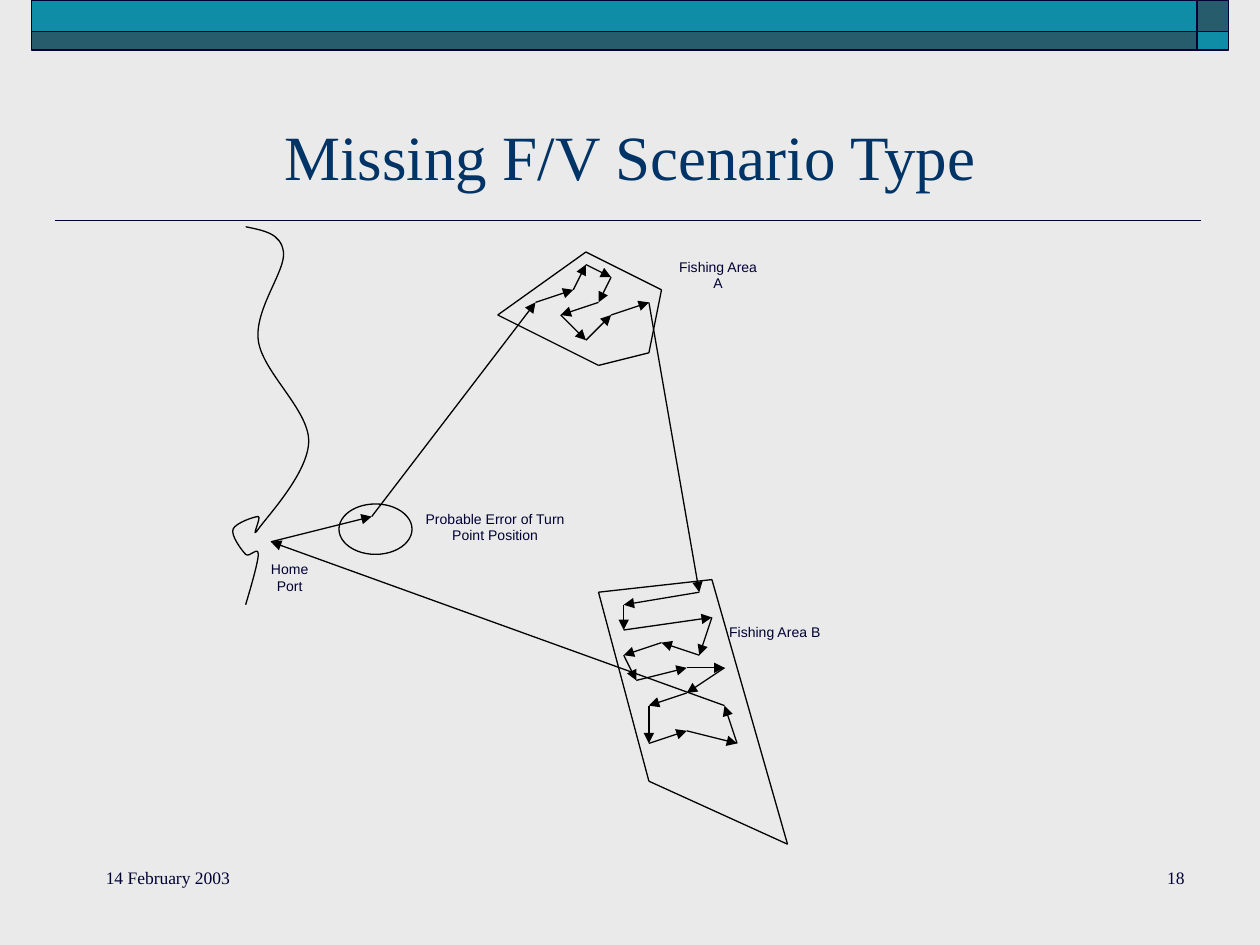
from dataclasses import dataclass
from itertools import pairwise

from lxml.etree import SubElement
from pptx import Presentation
from pptx.dml.color import RGBColor
from pptx.enum.shapes import MSO_CONNECTOR, MSO_SHAPE
from pptx.enum.text import MSO_ANCHOR, PP_ALIGN
from pptx.oxml.ns import qn
from pptx.util import Inches, Pt


@dataclass(frozen=True)
class Theme:
    background: RGBColor = RGBColor(0xEA, 0xEA, 0xEA)
    teal: RGBColor = RGBColor(0x10, 0x8D, 0xA6)
    slate: RGBColor = RGBColor(0x27, 0x5C, 0x6D)
    ink: RGBColor = RGBColor(0x00, 0x00, 0x33)
    title: RGBColor = RGBColor(0x00, 0x33, 0x66)
    track: RGBColor = RGBColor(0x00, 0x00, 0x00)
    serif: str = "Times New Roman"
    sans: str = "Arial"
    title_size: int = 36
    footer_size: int = 10
    label_size: int = 8
    frame_width: float = 1
    track_width: float = 0.75


class SlideBuilder:
    """Draws styled elements on one slide; all positions are in inches."""

    def __init__(self, slide, theme):
        self.slide = slide
        self.theme = theme
        slide.background.fill.solid()
        slide.background.fill.fore_color.rgb = theme.background

    def style_line(self, line, color, width):
        line.color.rgb = color
        line.width = Pt(width)

    def style_text(self, text_frame, text, font_name, size, color, align):
        text_frame.text = text
        text_frame.word_wrap = True
        paragraph = text_frame.paragraphs[0]
        paragraph.alignment = align
        font = paragraph.runs[0].font
        font.name = font_name
        font.size = Pt(size)
        font.color.rgb = color

    def title(self, text, left, top, width, height):
        shape = self.slide.shapes.title
        shape.left, shape.top = Inches(left), Inches(top)
        shape.width, shape.height = Inches(width), Inches(height)
        shape.text_frame.vertical_anchor = MSO_ANCHOR.BOTTOM
        theme = self.theme
        self.style_text(shape.text_frame, text, theme.serif, theme.title_size,
                        theme.title, PP_ALIGN.CENTER)

    def text_box(self, text, left, top, width, height, font_name, size, align):
        box = self.slide.shapes.add_textbox(
            Inches(left), Inches(top), Inches(width), Inches(height))
        self.style_text(box.text_frame, text, font_name, size, self.theme.ink, align)
        return box

    def label(self, text, left, top, width, height):
        self.text_box(text, left, top, width, height, self.theme.sans,
                      self.theme.label_size, PP_ALIGN.CENTER)

    def footer(self, text, left, width, align, indent=0.1):
        box = self.text_box(text, left, 6.83, width, 0.5, self.theme.serif,
                            self.theme.footer_size, align)
        box.text_frame.margin_left = Inches(indent)

    def shape(self, kind, left, top, width, height, line_color, line_width, fill=None):
        shape = self.slide.shapes.add_shape(
            kind, Inches(left), Inches(top), Inches(width), Inches(height))
        shape.shadow.inherit = False
        self.style_line(shape.line, line_color, line_width)
        if fill is None:
            shape.fill.background()
        else:
            shape.fill.solid()
            shape.fill.fore_color.rgb = fill

    def line(self, start, end, color, width, arrow=False):
        connector = self.slide.shapes.add_connector(
            MSO_CONNECTOR.STRAIGHT, *map(Inches, start + end))
        self.style_line(connector.line, color, width)
        properties = connector._element.spPr
        if arrow:
            SubElement(properties.find(qn("a:ln")), qn("a:tailEnd"), type="triangle")
        SubElement(properties, qn("a:effectLst"))

    def route(self, points, arrow=False):
        for start, end in pairwise(points):
            self.line(start, end, self.theme.track, self.theme.track_width, arrow)

    def curve(self, points):
        """Draws Bézier pieces: a start point, then two controls and an end for each."""
        start, *others = [(Inches(x), Inches(y)) for x, y in points]
        builder = self.slide.shapes.build_freeform(*start)
        builder.add_line_segments(others, close=False)
        shape = builder.convert_to_shape()
        shape.shadow.inherit = False
        shape.fill.background()
        self.style_line(shape.line, self.theme.track, self.theme.track_width)
        outline = next(shape._element.iter(qn("a:path")))
        segments = outline.findall(qn("a:lnTo"))
        for index in range(0, len(segments), 3):
            bezier = SubElement(outline, qn("a:cubicBezTo"))
            for segment in segments[index:index + 3]:
                bezier.append(segment[0])
                outline.remove(segment)


COASTLINE = [
    (1.95, 1.8),
    (2.09, 1.83), (2.23, 1.85), (2.25, 2),
    (2.27, 2.15), (2.02, 2.45), (2.05, 2.7),
    (2.08, 2.95), (2.45, 3.25), (2.45, 3.5),
    (2.45, 3.75), (2.12, 4.1), (2.05, 4.2),
    (1.98, 4.3), (2.08, 4.1), (2.05, 4.1),
    (2.02, 4.1), (1.87, 4.15), (1.85, 4.2),
    (1.83, 4.25), (1.92, 4.37), (1.95, 4.4),
    (1.98, 4.43), (2.05, 4.33), (2.05, 4.4),
    (2.05, 4.47), (1.97, 4.73), (1.95, 4.8),
]
FISHING_AREA_A = [(3.95, 2.5), (4.65, 2), (5.25, 2.3), (5.15, 2.8), (4.75, 2.9)]
FISHING_AREA_B = [(5.65, 4.6), (4.75, 4.7), (5.15, 6.2), (6.25, 6.7)]
HOME_PORT = (2.15, 4.3)
TURN_POINT = (2.95, 4.1)
TRACK_A = [
    (4.25, 2.4), (4.55, 2.3), (4.65, 2.1), (4.85, 2.2), (4.75, 2.4),
    (4.45, 2.5), (4.65, 2.7), (4.85, 2.5), (5.15, 2.4),
]
TRACK_B = [
    (5.55, 4.7), (4.95, 4.8), (4.95, 5), (5.65, 4.9), (5.55, 5.2), (5.25, 5.1),
    (4.95, 5.2), (5.05, 5.4), (5.45, 5.3), (5.75, 5.3), (5.45, 5.5), (5.15, 5.6),
    (5.15, 5.9), (5.45, 5.8), (5.85, 5.9), (5.75, 5.6),
]


def draw_header(builder):
    theme = builder.theme
    builder.line((9.53, 1.75), (0.44, 1.75), theme.ink, theme.frame_width)
    for left, top, width, height, fill in [
        (9.5, 0, 0.25, 0.25, theme.slate),
        (0.25, 0, 9.25, 0.25, theme.teal),
        (0.25, 0.25, 9.25, 0.15, theme.slate),
        (9.5, 0.25, 0.25, 0.15, theme.teal),
    ]:
        builder.shape(MSO_SHAPE.RECTANGLE, left, top, width, height,
                      theme.ink, theme.frame_width, fill)
    builder.title("Missing F/V Scenario Type", 0.5, 0.33, 9, 1.25)


def draw_scenario(builder):
    theme = builder.theme
    builder.curve(COASTLINE)
    for area in (FISHING_AREA_A, FISHING_AREA_B):
        builder.route(area + area[:1])
    voyage = [HOME_PORT, TURN_POINT, *TRACK_A, *TRACK_B, HOME_PORT]
    builder.route(voyage, arrow=True)
    builder.label("Home Port", 1.95, 4.4, 0.7, 0.5)
    builder.label("Fishing Area A", 5.25, 2, 0.9, 0.5)
    builder.label("Fishing Area B", 5.65, 4.9, 1, 0.5)
    builder.shape(MSO_SHAPE.OVAL, 2.69, 4, 0.58, 0.4, theme.track, theme.track_width)
    builder.label("Probable Error of Turn Point Position", 3.27, 4, 1.32, 0.4)


def main():
    presentation = Presentation()
    presentation.slide_width, presentation.slide_height = Inches(10), Inches(7.5)
    slide = presentation.slides.add_slide(presentation.slide_layouts[5])
    builder = SlideBuilder(slide, Theme())
    draw_header(builder)
    draw_scenario(builder)
    builder.footer("18", 7.42, 2.08, PP_ALIGN.RIGHT)
    builder.footer("14 February 2003", 0.5, 1.83, PP_ALIGN.LEFT, indent=0.34)
    presentation.save("out.pptx")


if __name__ == "__main__":
    main()
